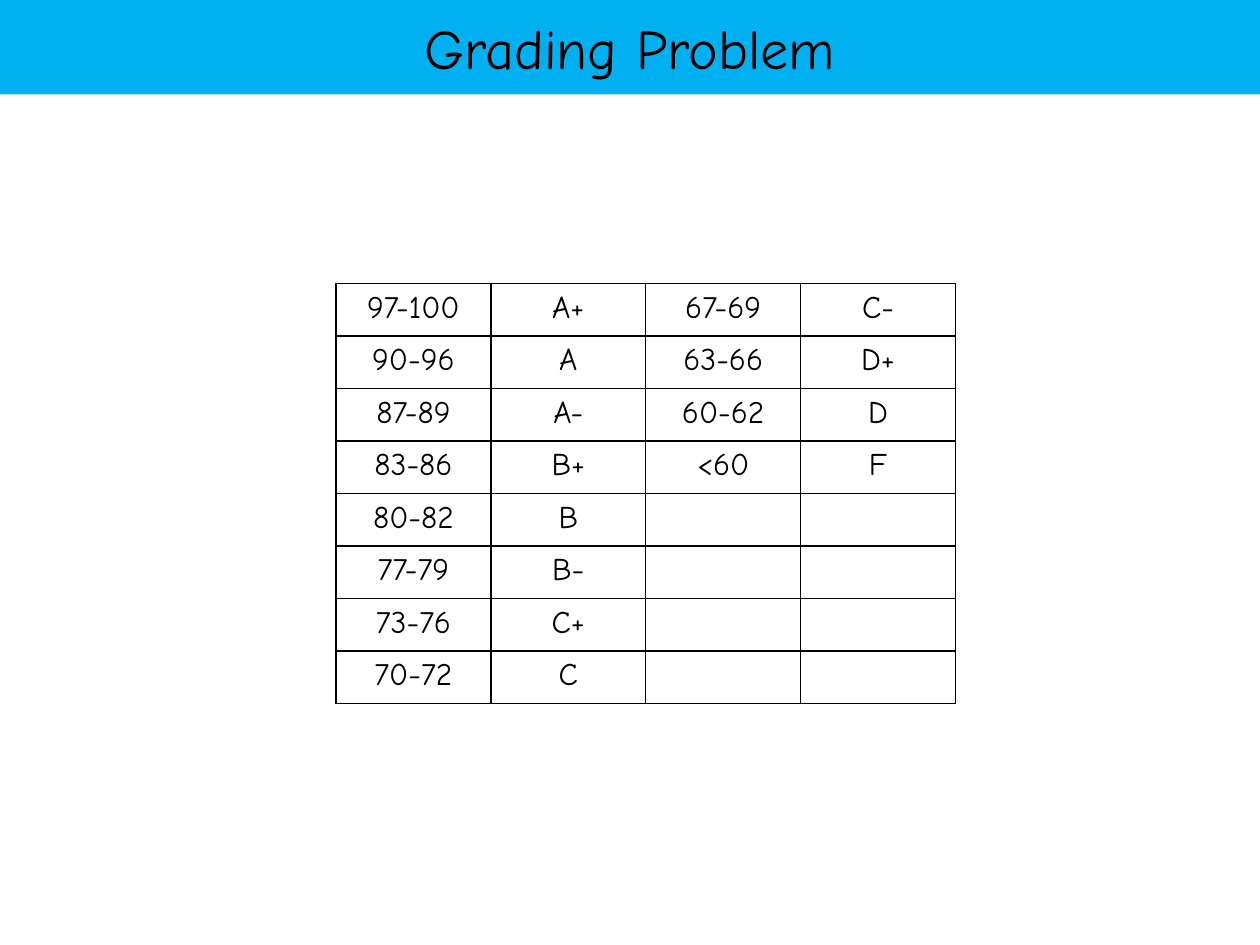
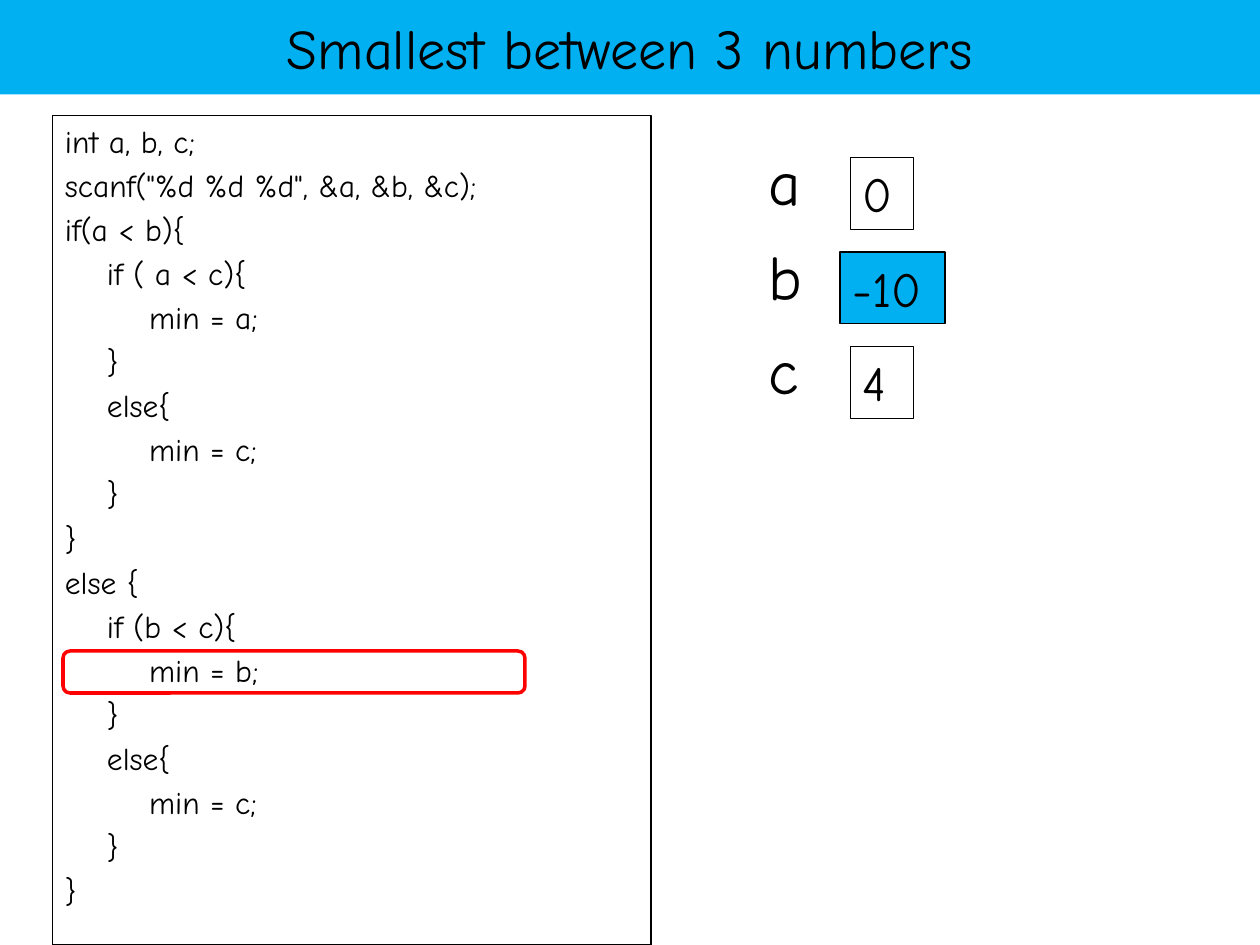
from dataclasses import dataclass
from typing import NamedTuple

from lxml import etree
from pptx import Presentation
from pptx.dml.color import RGBColor
from pptx.enum.shapes import MSO_SHAPE
from pptx.enum.text import MSO_ANCHOR, PP_ALIGN
from pptx.oxml.ns import qn
from pptx.util import Inches, Pt

RECTANGLE = MSO_SHAPE.RECTANGLE
ROUNDED = MSO_SHAPE.ROUNDED_RECTANGLE
TOP, MIDDLE = MSO_ANCHOR.TOP, MSO_ANCHOR.MIDDLE
LEFT, CENTER = PP_ALIGN.LEFT, PP_ALIGN.CENTER

SLIDE_WIDTH, SLIDE_HEIGHT = Inches(10), Inches(7.5)
COLUMNS, ROWS = 120, 90
COLUMN, ROW = SLIDE_WIDTH // COLUMNS, SLIDE_HEIGHT // ROWS


@dataclass(frozen=True)
class Theme:
    font: str = "Comic Neue"
    ink: str = "000000"
    accent: str = "00B0F0"
    marker: str = "FF0000"
    title: int = 32
    body: int = 18
    variable: int = 36
    value: int = 28
    code_gap: float = 3.6
    thin: float = 0.75
    rule: float = 1
    thick: float = 2


THEME = Theme()


class Box(NamedTuple):
    """A region in grid columns and rows."""
    left: float
    top: float
    width: float
    height: float

    def inner(self, left, top, width, height):
        return Box(self.left + left, self.top + top, width, height)

    def emu(self):
        return (round(self.left * COLUMN), round(self.top * ROW),
                round(self.width * COLUMN), round(self.height * ROW))


TITLE_BAND = Box(0, 0, COLUMNS, 9)
GRADE_AREA = Box(32, 27, 59, 40)
CODE_AREA = Box(5, 11, 57, 79)
VARIABLE_AREA = Box(72, 13, 18, 27)

GRADES = [
    ("97-100", "A+"), ("90-96", "A"), ("87-89", "A-"), ("83-86", "B+"),
    ("80-82", "B"), ("77-79", "B-"), ("73-76", "C+"), ("70-72", "C"),
    ("67-69", "C-"), ("63-66", "D+"), ("60-62", "D"), ("<60", "F"),
]
GRADE_ROWS = 8

CODE = """int a, b, c;
scanf("%d %d %d", &a, &b, &c);
if(a < b){
    if ( a < c){
        min = a;
    }
    else{
        min = c;
    }
}
else {
    if (b < c){
        min = b;
    }
    else{
        min = c;
    }
}"""

VARIABLES = [("a", "0"), ("b", "-10"), ("c", "4")]
SMALLEST = "b"


def write(frame, text, size, align=LEFT, gap=0):
    """Fill a text frame, one paragraph per line, with gap points between."""
    for index, line in enumerate(text.split("\n")):
        paragraph = frame.paragraphs[0] if index == 0 else frame.add_paragraph()
        paragraph.text = line
        paragraph.alignment = align
        if index and gap:
            paragraph.space_before = Pt(gap)
        font = paragraph.font
        font.name, font.size = THEME.font, Pt(size)
        font.color.rgb = RGBColor.from_string(THEME.ink)


def add_panel(slide, box, kind=RECTANGLE, fill=None, line=None, weight=THEME.thin, anchor=TOP):
    """Add a shape and return its text frame."""
    panel = slide.shapes.add_shape(kind, *box.emu())
    panel.shadow.inherit = False
    if fill:
        panel.fill.solid()
        panel.fill.fore_color.rgb = RGBColor.from_string(fill)
    else:
        panel.fill.background()
    if line:
        panel.line.color.rgb = RGBColor.from_string(line)
        panel.line.width = Pt(weight)
    else:
        panel.line.fill.background()
    panel.text_frame.word_wrap = True
    panel.text_frame.vertical_anchor = anchor
    return panel.text_frame


def add_titled_slide(deck, title):
    slide = deck.slides.add_slide(deck.slide_layouts[6])
    band = add_panel(slide, TITLE_BAND, fill=THEME.accent, anchor=MIDDLE)
    write(band, title, size=THEME.title, align=CENTER)
    return slide


def rule_cell(cell):
    """Clear the cell's fill and draw a line on each side."""
    properties = cell._tc.get_or_add_tcPr()
    for side in ("lnL", "lnR", "lnT", "lnB"):
        border = etree.SubElement(properties, qn(f"a:{side}"), w=str(Pt(THEME.rule)))
        paint = etree.SubElement(border, qn("a:solidFill"))
        etree.SubElement(paint, qn("a:srgbClr"), val=THEME.ink)
    cell.fill.background()


def add_grade_table(slide, box):
    """List the grades in pairs of columns, each read downwards."""
    pairs = -(-len(GRADES) // GRADE_ROWS)
    table = slide.shapes.add_table(GRADE_ROWS, 2 * pairs, *box.emu()).table
    table.first_row = table.horz_banding = False
    for cell in table.iter_cells():
        rule_cell(cell)
    for index, grade in enumerate(GRADES):
        pair, row = divmod(index, GRADE_ROWS)
        for offset, text in enumerate(grade):
            cell = table.cell(row, 2 * pair + offset)
            write(cell.text_frame, text, size=THEME.body, align=CENTER)


def add_code(slide, box):
    """Show the code and ring the line that sets the minimum."""
    frame = add_panel(slide, box, line=THEME.ink)
    write(frame, CODE, size=THEME.body, gap=THEME.code_gap)


def add_variables(slide, box):
    """Stack each variable's name beside a box with its value."""
    pitch = box.height / len(VARIABLES)
    for index, (name, value) in enumerate(VARIABLES):
        top = index * pitch
        smallest = name == SMALLEST
        left, width = (8, 10) if smallest else (9, 6)
        value_frame = add_panel(slide, box.inner(left, top + 2, width, 6.85), line=THEME.ink,
                                fill=THEME.accent if smallest else None)
        write(value_frame, value, size=THEME.value)
        label = slide.shapes.add_textbox(*box.inner(0, top, 6, 8.5).emu())
        label.text_frame.word_wrap = True
        write(label.text_frame, name, size=THEME.variable)


def add_line_marker(slide, box):
    """Ring the code line that sets the minimum."""
    add_panel(slide, box.inner(1, 51, 44, 4), kind=ROUNDED,
              line=THEME.marker, weight=THEME.thick)


def build_grading(deck):
    slide = add_titled_slide(deck, "Grading Problem")
    add_grade_table(slide, GRADE_AREA)


def build_smallest(deck):
    slide = add_titled_slide(deck, "Smallest between 3 numbers")
    add_code(slide, CODE_AREA)
    add_variables(slide, VARIABLE_AREA)
    add_line_marker(slide, CODE_AREA)


def main():
    deck = Presentation()
    deck.slide_width, deck.slide_height = SLIDE_WIDTH, SLIDE_HEIGHT
    build_grading(deck)
    build_smallest(deck)
    deck.save("out.pptx")


if __name__ == "__main__":
    main()
